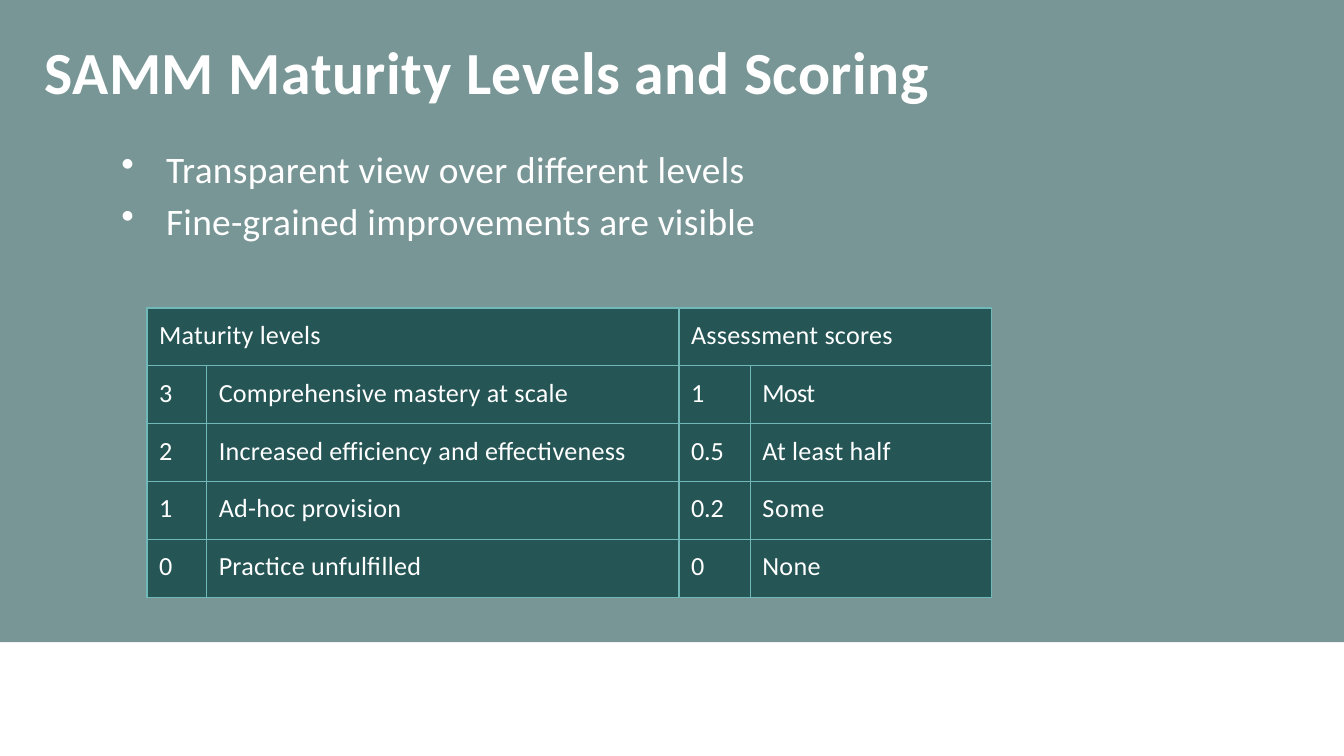
from pptx import Presentation
from pptx.dml.color import RGBColor
from pptx.enum.shapes import MSO_SHAPE
from pptx.enum.text import MSO_ANCHOR, MSO_AUTO_SIZE, PP_ALIGN
from pptx.oxml.ns import qn
from pptx.util import Pt
from lxml.etree import SubElement

RECT = MSO_SHAPE.RECTANGLE
TOP, LEFT = MSO_ANCHOR.TOP, PP_ALIGN.LEFT
FIT = MSO_AUTO_SIZE.SHAPE_TO_FIT_TEXT

COLORS = {"panel": "144748", "line": "71B8B8", "text": "FFFFFF"}
WIDTH, HEIGHT = 720, 405
COLS = [32, 253, 38.25, 129.25]
ROW = 31
LEVELS = [
    ["Maturity levels", None, "Assessment scores", None],
    ["3", "Comprehensive mastery at scale", "1", "Most"],
    ["2", "Increased eﬀiciency and eﬀectiveness", "0.5", "At least half"],
    ["1", "Ad-hoc provision", "0.2", "Some"],
    ["0", "Practice unfulfilled", "0", "None"],
]
SPACING = {"Most": -0.4, "Some": 0.4, "0.5": -0.1, "0.2": -0.1}
POINTS = ["Transparent view over diﬀerent levels",
          "Fine-grained improvements are visible"]


class Deck:
    """Holds the style and the current slide; lengths are in points."""

    font = "Calibri"
    alpha = 57

    def __init__(self, slide):
        self.slide = slide
        self.shapes = slide.shapes

    def tint(self, fill):
        """Give a fill the see-through panel colour."""
        fill.solid()
        fill.fore_color.rgb = RGBColor.from_string(COLORS["panel"])
        color = fill._xPr.find(qn("a:solidFill"))[0]
        SubElement(color, qn("a:alpha"), val=str(self.alpha * 1000))

    def style(self, para, size, space=0.1, bold=False):
        para.alignment = LEFT
        for run in para.runs:
            font = run.font
            font.name, font.size, font.bold = self.font, Pt(size), bold
            font.color.rgb = RGBColor.from_string(COLORS["text"])
            run._r.get_or_add_rPr().set("spc", str(round(space * 100)))

    def panel(self, x, y, w, h):
        shape = self.shapes.add_shape(RECT, Pt(x), Pt(y), Pt(w), Pt(h))
        shape.shadow.inherit = False
        shape.line.fill.background()
        self.tint(shape.fill)

    def title(self, text, x, y, w, h):
        shape = self.shapes.title
        shape.left, shape.top, shape.width, shape.height = map(Pt, (x, y, w, h))
        frame = shape.text_frame
        frame.text = text
        frame.vertical_anchor = TOP
        frame.auto_size = FIT
        self.style(frame.paragraphs[0], 32, 0.3, True)
        # Bring the title in front of the panels.
        self.shapes._spTree.append(shape._element)

    def bullets(self, lines, x, y, w, h):
        box = self.shapes.add_textbox(Pt(x), Pt(y), Pt(w), Pt(h))
        frame = box.text_frame
        frame.word_wrap = True
        frame.auto_size = FIT
        frame.margin_left = frame.margin_right = frame.margin_bottom = 0
        frame.margin_top = Pt(4.5)
        frame.text = "\n".join(lines)
        for i, para in enumerate(frame.paragraphs):
            self.style(para, 20, 0.15)
            if i:
                para.space_before = Pt(3.5)
            props = para._p.get_or_add_pPr()
            props.set("marL", str(Pt(25)))
            props.set("indent", str(-Pt(24)))
            SubElement(props, qn("a:buChar"), char="•")

    def border(self, cell):
        props = cell._tc.get_or_add_tcPr()
        for side in ("lnL", "lnR", "lnT", "lnB"):
            line = SubElement(props, qn("a:" + side), w=str(Pt(0.75)))
            fill = SubElement(line, qn("a:solidFill"))
            SubElement(fill, qn("a:srgbClr"), val=COLORS["line"])

    def table(self, rows, x, y, cols, high):
        """Draw a table with a panel behind each cell; None joins to the left."""
        frame = self.shapes.add_table(len(rows), len(cols), Pt(x), Pt(y),
                                      Pt(sum(cols)), Pt(high * len(rows)))
        table = frame.table
        table.first_row = table.horz_banding = False
        for col, wide in zip(table.columns, cols):
            col.width = Pt(wide)
        for r, row in enumerate(rows):
            table.rows[r].height = Pt(high)
            for c, text in enumerate(row):
                cell = table.cell(r, c)
                self.border(cell)
                self.tint(cell.fill)
                if text is None:
                    table.cell(r, c - 1).merge(cell)
                    continue
                cell.margin_left, cell.margin_top = Pt(6.5), Pt(6.2)
                cell.margin_right = cell.margin_bottom = 0
                cell.text = text
                self.style(cell.text_frame.paragraphs[0], 14,
                           SPACING.get(text, 0.1))
                span = 2 if None in row[c + 1:c + 2] else 1
                self.panel(x + sum(cols[:c]), y + r * high,
                           sum(cols[c:c + span]), high)
        self.shapes._spTree.append(frame._element)


def main():
    prs = Presentation()
    prs.slide_width, prs.slide_height = Pt(WIDTH), Pt(HEIGHT)
    deck = Deck(prs.slides.add_slide(prs.slide_layouts[5]))
    deck.panel(0, 0, WIDTH, 344)
    deck.table(LEVELS, 78.75, 165, COLS, ROW)
    deck.bullets(POINTS, 64, 74, 346, 57)
    deck.title("SAMM Maturity Levels and Scoring", 16.5, 15, 564, 46)
    prs.save("out.pptx")


if __name__ == "__main__":
    main()
